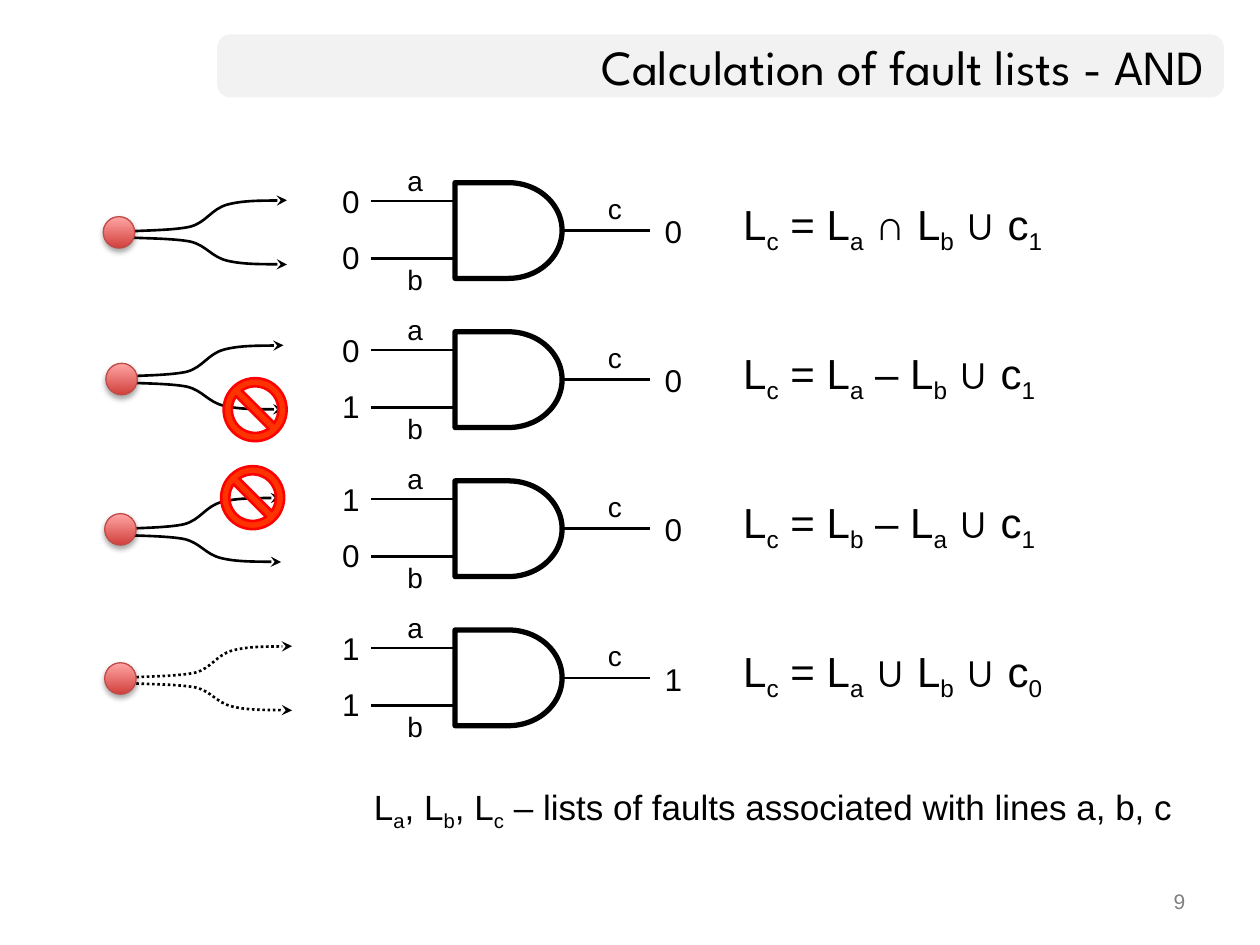
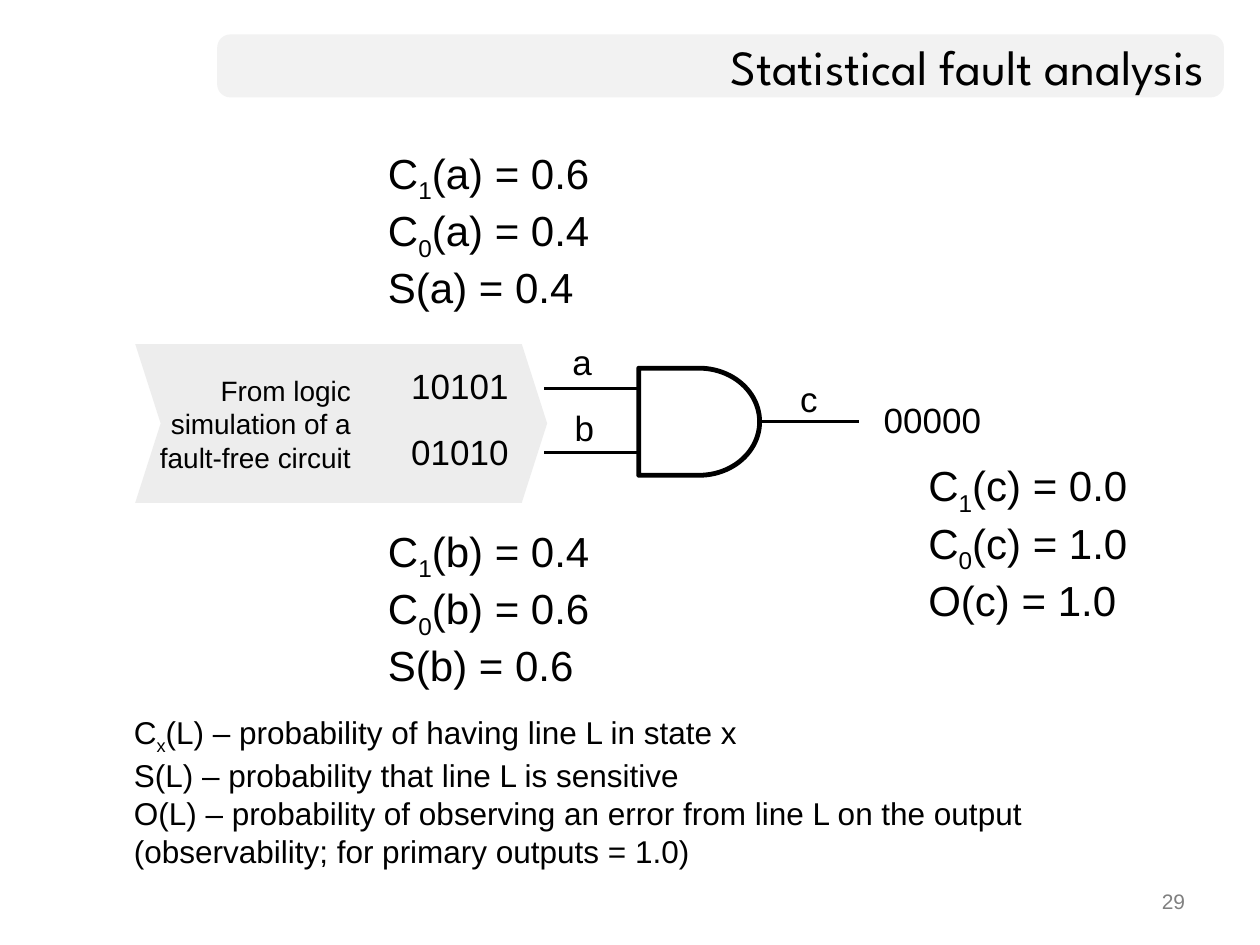
from dataclasses import dataclass

from pptx import Presentation
from pptx.dml.color import RGBColor
from pptx.enum.dml import MSO_LINE
from pptx.enum.shapes import MSO_CONNECTOR, MSO_SHAPE
from pptx.enum.text import MSO_ANCHOR, MSO_AUTO_SIZE, PP_ALIGN
from pptx.oxml import parse_xml
from pptx.oxml.ns import nsdecls, qn
from pptx.oxml.xmlchemy import OxmlElement
from pptx.util import Pt

BLACK = RGBColor(0x00, 0x00, 0x00)
WHITE = RGBColor(0xFF, 0xFF, 0xFF)
BAND_GREY = RGBColor(0xF2, 0xF2, 0xF2)
NUMBER_GREY = RGBColor(0x80, 0x80, 0x80)
CHEVRON_GREY = RGBColor(0xA6, 0xA6, 0xA6)
BALL_DARK = RGBColor(0xD1, 0x40, 0x3C)
BALL_LIGHT = RGBColor(0xFF, 0xA6, 0xA5)
BALL_EDGE = RGBColor(0xBF, 0x4C, 0x48)
SIGN_FILL = RGBColor(0xFF, 0x33, 0x00)
SIGN_EDGE = RGBColor(0xFF, 0x00, 0x00)

BODY_FONT = "Arial"
TITLE_FONT = "League Spartan"
TITLE_ONLY = 5
BAND_LEFT, BAND_TOP, BAND_HEIGHT = 124.1, 19.7, 36

ROW_TOP, ROW_PITCH = 104.4, 85.2
GATE_LEFT, GATE_WIDTH, GATE_HEIGHT = 260, 61.2, 54.7
FORK_WIDTH, FORK_UP, FORK_DOWN, FORK_GAP = 92, -18, 15.6, 3.2
BALL_SIZE, SIGN_SIZE = 18, 36
# Cubic control points of one fork branch, as shares of its width and rise
BRANCH = [(0.06, 0.04), (0.29, 0.03), (0.4, 0.16), (0.5, 0.3), (0.53, 0.72),
          (0.63, 0.86), (0.73, 1), (0.92, 0.98), (1, 1)]


@dataclass
class GateCase:
    a: str
    b: str
    c: str
    formula: str
    ball: tuple
    fork: tuple
    blocked: str = ""
    dotted: bool = False


# Ball and fork places are relative to the left slide edge and the row's top
CASES = [
    GateCase("0", "0", "0", "L_{c} = L_{a} ∩ L_{b} ∪ c_{1}", (59, 19.4), (72, 28)),
    GateCase("0", "1", "0", "L_{c} = L_{a} – L_{b} ∪ c_{1}", (60.5, 18), (70, 25.7), blocked="b"),
    GateCase("1", "0", "0", "L_{c} = L_{b} – L_{a} ∪ c_{1}", (59.8, 18.7), (68.6, 27.6), blocked="a"),
    GateCase("1", "1", "1", "L_{c} = L_{a} ∪ L_{b} ∪ c_{0}", (59.8, 18.7), (74.9, 27.2), dotted=True),
]


def add_marked_text(paragraph, text):
    """Add runs to the paragraph; parts written as _{x} become subscripts."""
    first, *pieces = text.split("_{")
    paragraph.add_run().text = first
    for piece in pieces:
        subscript, _, rest = piece.partition("}")
        run = paragraph.add_run()
        run.text = subscript
        run.font._element.set("baseline", "-25000")
        if rest:
            paragraph.add_run().text = rest


def add_text(slide, box, lines, size, align=PP_ALIGN.LEFT, anchor=MSO_ANCHOR.TOP,
             color=BLACK, wrap=True):
    frame = slide.shapes.add_textbox(*map(Pt, box)).text_frame
    frame.word_wrap = wrap
    frame.vertical_anchor = anchor
    for index, line in enumerate(lines):
        paragraph = frame.add_paragraph() if index else frame.paragraphs[0]
        add_marked_text(paragraph, line)
        paragraph.alignment = align
        for run in paragraph.runs:
            run.font.size = Pt(size)
            run.font.name = BODY_FONT
            run.font.color.rgb = color


def add_label(slide, center_x, center_y, text, size):
    width, height = 70, 30
    add_text(slide, (center_x - width / 2, center_y - height / 2, width, height), [text],
             size, PP_ALIGN.CENTER, MSO_ANCHOR.MIDDLE, wrap=False)


def add_preset(slide, kind, box, fill=None, edge=None, edge_width=1.5):
    shape = slide.shapes.add_shape(kind, *map(Pt, box))
    shape.shadow.inherit = False
    if fill is not None:
        shape.fill.solid()
        shape.fill.fore_color.rgb = fill
    if edge is None:
        shape.line.fill.background()
    else:
        shape.line.color.rgb = edge
        shape.line.width = Pt(edge_width)
    return shape


def add_wire(slide, start, end, width):
    wire = slide.shapes.add_connector(MSO_CONNECTOR.STRAIGHT, *map(Pt, (*start, *end)))
    wire.line.color.rgb = BLACK
    wire.line.width = Pt(width)
    wire._element.spPr.append(OxmlElement("a:effectLst"))
    return wire


def add_and_gate(slide, box, wire_width, edge_width, labels):
    """Draw an AND gate with its wires; labels are placed from the gate's corner."""
    left, top, width, height = box
    for share in (0.19, 0.79):
        y = top + share * height
        add_wire(slide, (left, y), (left - 0.78 * width, y), wire_width)
    gate = add_preset(slide, MSO_SHAPE.FLOWCHART_DELAY, box, WHITE, BLACK, edge_width)
    middle = top + height / 2
    output = add_wire(slide, (left + width, middle), (left + 1.82 * width, middle), wire_width)
    output.begin_connect(gate, 3)
    for text, x, y, size in labels:
        add_label(slide, left + x, top + y, text, size)


def curve_segments(freeform):
    """Turn every three line segments of the outline into one cubic curve."""
    lines = list(freeform._element.iter(qn("a:lnTo")))
    for first in range(0, len(lines), 3):
        curve = OxmlElement("a:cubicBezTo")
        lines[first].addprevious(curve)
        for line in lines[first:first + 3]:
            curve.append(line[0])
            line.getparent().remove(line)


def add_branch(slide, left, top, rise, dotted):
    builder = slide.shapes.build_freeform(Pt(left), Pt(top))
    builder.add_line_segments([(Pt(left + x * FORK_WIDTH), Pt(top + y * rise))
                               for x, y in BRANCH], close=False)
    branch = builder.convert_to_shape()
    curve_segments(branch)
    branch.shadow.inherit = False
    branch.fill.background()
    branch.line.color.rgb = BLACK
    branch.line.width = Pt(1.5)
    if dotted:
        branch.line.dash_style = MSO_LINE.ROUND_DOT
    arrowhead = OxmlElement("a:tailEnd")
    arrowhead.set("type", "stealth")
    branch.line._get_or_add_ln().append(arrowhead)


def add_ball(slide, left, top):
    ball = add_preset(slide, MSO_SHAPE.OVAL, (left, top, BALL_SIZE, BALL_SIZE),
                      edge=BALL_EDGE, edge_width=0.75)
    ball.fill.gradient()
    ball.fill.gradient_angle = 90
    for stop, color in zip(ball.fill.gradient_stops, (BALL_DARK, BALL_LIGHT)):
        stop.color.rgb = color
    ball._element.spPr.find(qn("a:effectLst")).append(parse_xml(
        f'<a:outerShdw {nsdecls("a")} blurRad="40000" dist="23000" dir="5400000" rotWithShape="0">'
        '<a:srgbClr val="000000"><a:alpha val="35000"/></a:srgbClr></a:outerShdw>'))


def add_fault_fork(slide, row_top, case):
    left, offset = case.fork
    top = row_top + offset
    branches = {"a": (top, FORK_UP), "b": (top + FORK_GAP, FORK_DOWN)}
    for start, rise in branches.values():
        add_branch(slide, left, start, rise, case.dotted)
    if case.blocked:
        center_x = left + FORK_WIDTH - 16.2
        center_y = sum(branches[case.blocked])
        sign = add_preset(slide, MSO_SHAPE.NO_SYMBOL,
                          (center_x - SIGN_SIZE / 2, center_y - SIGN_SIZE / 2, SIGN_SIZE, SIGN_SIZE),
                          SIGN_FILL, SIGN_EDGE)
        sign.adjustments[0] = 0.13
    ball_left, ball_offset = case.ball
    add_ball(slide, ball_left, row_top + ball_offset)


def add_case_row(slide, top, case):
    labels = [("a", -22.8, -1.6, 16), ("b", -22.8, 55, 16), ("c", 91.3, 14.4, 16),
              (case.a, -59.5, 10.5, 18), (case.b, -59.5, 42.5, 18), (case.c, 124.8, 27.7, 18)]
    add_and_gate(slide, (GATE_LEFT, top, GATE_WIDTH, GATE_HEIGHT), 1.5, 3, labels)
    add_text(slide, (417.6, top + 7.2, 193.7, 36), [case.formula], 24, anchor=MSO_ANCHOR.MIDDLE)
    add_fault_fork(slide, top, case)


def add_titled_slide(presentation, title_text, number):
    slide = presentation.slides.add_slide(presentation.slide_layouts[TITLE_ONLY])
    band = add_preset(slide, MSO_SHAPE.ROUNDED_RECTANGLE,
                      (BAND_LEFT, BAND_TOP, 575.3, BAND_HEIGHT), BAND_GREY)
    band.adjustments[0] = 0.21
    title = slide.shapes.title
    title._element.addprevious(band._element)
    title.left, title.top, title.width, title.height = map(
        Pt, (BAND_LEFT, BAND_TOP, 571, BAND_HEIGHT))
    frame = title.text_frame
    frame.text = title_text
    frame.auto_size = MSO_AUTO_SIZE.NONE
    frame.vertical_anchor = MSO_ANCHOR.MIDDLE
    paragraph = frame.paragraphs[0]
    paragraph.alignment = PP_ALIGN.RIGHT
    font = paragraph.runs[0].font
    font.name, font.size, font.color.rgb = TITLE_FONT, Pt(28), BLACK
    add_text(slide, (516.3, 504, 168, 25), [str(number)], 12, PP_ALIGN.RIGHT, color=NUMBER_GREY)
    return slide


def build_fault_list_slide(presentation):
    slide = add_titled_slide(presentation, "Calculation of fault lists - AND", 9)
    for index, case in enumerate(CASES):
        add_case_row(slide, ROW_TOP + index * ROW_PITCH, case)
    add_text(slide, (206.6, 446.4, 490, 31.7),
             ["L_{a}, L_{b}, L_{c} – lists of faults associated with lines a, b, c"],
             20, anchor=MSO_ANCHOR.MIDDLE)


def add_measures(slide, left, top, line, one, zero, last):
    add_text(slide, (left, top, 132, 94.3),
             [f"C_{{1}}({line}) = {one}", f"C_{{0}}({line}) = {zero}", last], 24)


def add_simulation_arrow(slide, box):
    left, top, _, height = box
    chevron = add_preset(slide, MSO_SHAPE.CHEVRON, box, CHEVRON_GREY)
    chevron.adjustments[0] = 0.16
    alpha = OxmlElement("a:alpha")
    alpha.set("val", "20000")
    chevron._element.spPr.find(qn("a:solidFill"))[0].append(alpha)
    add_text(slide, (left - 7.9, top, 138.2, height),
             ["From logic simulation of a fault-free circuit"],
             16, PP_ALIGN.RIGHT, MSO_ANCHOR.MIDDLE)


def build_statistics_slide(presentation):
    slide = add_titled_slide(presentation, "Statistical fault analysis", 29)
    add_simulation_arrow(slide, (77.3, 196.6, 235.4, 90.7))
    labels = [("a", -32.4, -3.6), ("b", -31, 33.8), ("c", 97.2, 17.3),
              ("10101", -102.2, 10.1), ("01010", -102.2, 47.5), ("00000", 167.8, 29.5)]
    add_and_gate(slide, (365, 210.4, 69.1, 61.2), 1.75, 2.75,
                 [(*label, 20) for label in labels])
    add_measures(slide, 214.6, 80.6, "a", "0.6", "0.4", "S(a) = 0.4")
    add_measures(slide, 214.6, 296.6, "b", "0.4", "0.6", "S(b) = 0.6")
    add_measures(slide, 523.4, 259.2, "c", "0.0", "1.0", "O(c) = 1.0")
    add_text(slide, (69.4, 404, 594, 94.3),
             ["C_{x}(L) – probability of having line L in state x",
              "S(L) – probability that line L is sensitive",
              "O(L) – probability of observing an error from line L on the output "
              "(observability; for primary outputs = 1.0)"], 18)


def main():
    presentation = Presentation()
    presentation.slide_width, presentation.slide_height = Pt(720), Pt(540)
    build_fault_list_slide(presentation)
    build_statistics_slide(presentation)
    presentation.save("out.pptx")


if __name__ == "__main__":
    main()
